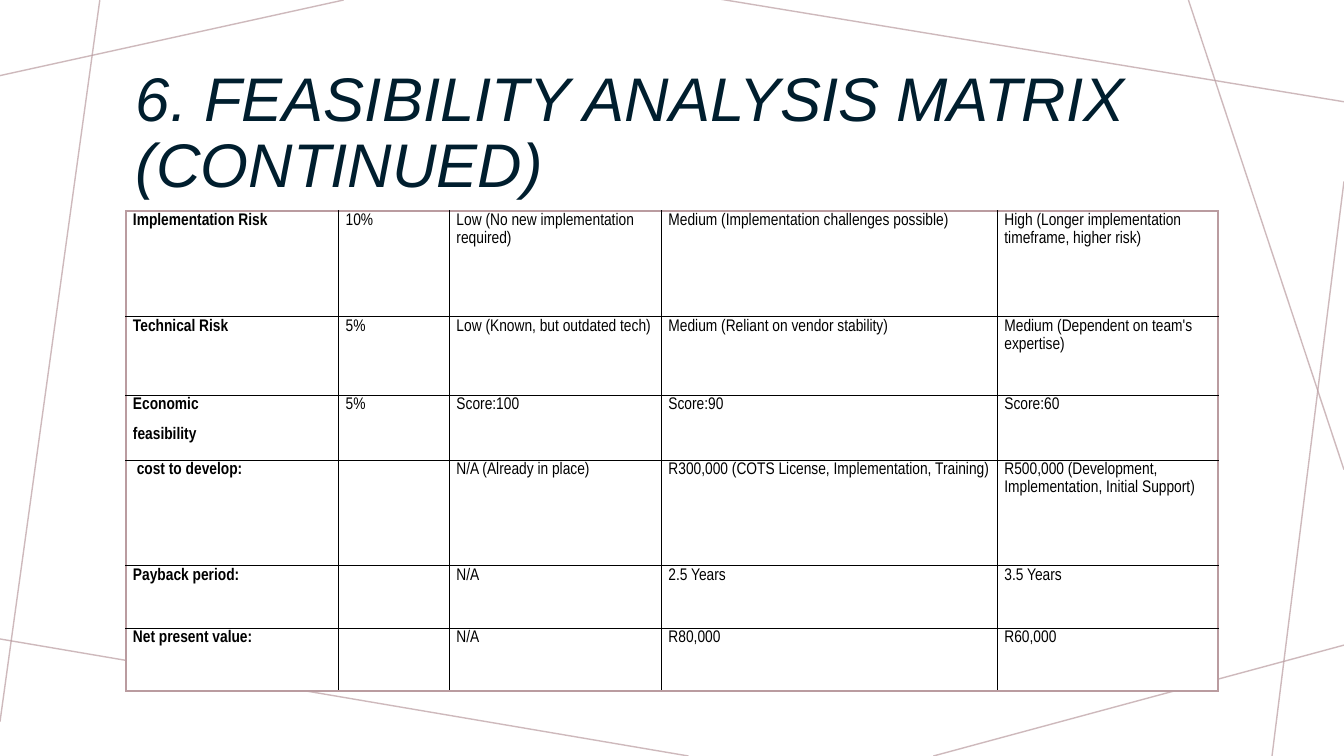
from dataclasses import dataclass

import pptx
import pptx.dml.color
import pptx.enum.shapes
import pptx.enum.text
import pptx.oxml
import pptx.oxml.ns
import pptx.util
from lxml import etree

Pt = pptx.util.Pt


@dataclass(frozen=True)
class Theme:
    title_color: str = "001E2E"
    text_color: str = "000000"
    accent: str = "BA9CA0"
    cell_fill: str = "FFFFFF"
    title_font: str = "Arial"
    table_font: str = "Arial Narrow"
    title_size: int = 44
    table_size: int = 12
    line_width: int = 1
    line_opacity: int = 70


THEME = Theme()
SLIDE_WIDTH, SLIDE_HEIGHT = 960, 540
CONTENT_LEFT, CONTENT_WIDTH = 90, 780

# Start x, start y, end x, end y
BACKGROUND_LINES = [
    (245.5, 0, 0, 54),
    (71.3, 0, 0, 515.5),
    (491.8, 540, -3.6, 455.8),
    (960, 460.8, 666.7, 540),
    (960, 129.6, 908.6, 540),
    (960, 335.5, 848.9, 0),
    (960, 72.7, 514, -0.7),
]

COLUMN_WIDTHS = [151.9, 79.2, 151.4, 240, 157.5]
ROW_HEIGHTS = [75.4, 56.3, 46.3, 75.4, 44.8, 44.8]
MATRIX = [
    ["Implementation Risk", "10%", "Low (No new implementation required)",
     "Medium (Implementation challenges possible)",
     "High (Longer implementation timeframe, higher risk)"],
    ["Technical Risk", "5%", "Low (Known, but outdated tech)",
     "Medium (Reliant on vendor stability)",
     "Medium (Dependent on team's expertise)"],
    ["Economic\nfeasibility", "5%", "Score:100", "Score:90", "Score:60"],
    [" cost to develop:", "", "N/A (Already in place)",
     "R300,000 (COTS License, Implementation, Training)",
     "R500,000 (Development, Implementation, Initial Support)"],
    ["Payback period:", "", "N/A", "2.5 Years", "3.5 Years"],
    ["Net present value:", "", "N/A", "R80,000", "R60,000"],
]


def rgb(color):
    return pptx.dml.color.RGBColor.from_string(color)


def write_text(frame, text, *, font, size, color, bold=False, italic=False,
               line_spacing=1.0, space_after=0):
    """Fill a text frame, one paragraph for each line of text."""
    frame.word_wrap = True
    for index, line in enumerate(text.split("\n")):
        paragraph = frame.add_paragraph() if index else frame.paragraphs[0]
        paragraph.line_spacing = line_spacing
        paragraph.space_after = Pt(space_after)
        paragraph.font.size = Pt(size)
        if not line:
            continue
        run = paragraph.add_run()
        run.text = line
        run.font.name = font
        run.font.size = Pt(size)
        run.font.bold = bold
        run.font.italic = italic
        run.font.color.rgb = rgb(color)


def add_background_line(slide, ends):
    connector = slide.shapes.add_connector(
        pptx.enum.shapes.MSO_CONNECTOR.STRAIGHT, *map(Pt, ends))
    connector.line.width = Pt(THEME.line_width)
    connector.line.color.rgb = rgb(THEME.accent)
    properties = connector._element.spPr
    color = properties.find(".//" + pptx.oxml.ns.qn("a:srgbClr"))
    alpha = etree.SubElement(color, pptx.oxml.ns.qn("a:alpha"))
    alpha.set("val", str(THEME.line_opacity * 1000))
    etree.SubElement(properties, pptx.oxml.ns.qn("a:effectLst"))


def add_title(slide, text):
    box = slide.shapes.add_textbox(
        Pt(CONTENT_LEFT), Pt(41.8), Pt(CONTENT_WIDTH), Pt(108.7))
    box.text_frame.vertical_anchor = pptx.enum.text.MSO_ANCHOR.MIDDLE
    write_text(box.text_frame, text, font=THEME.title_font,
               size=THEME.title_size, color=THEME.title_color,
               italic=True, line_spacing=0.9)


def set_borders(cell, colors):
    """Draw the cell sides; colors maps L, R, T and B to a colour."""
    properties = cell._tc.get_or_add_tcPr()
    for side, color in colors.items():
        line = etree.SubElement(properties, pptx.oxml.ns.qn("a:ln" + side))
        line.set("w", str(Pt(THEME.line_width)))
        fill = etree.SubElement(line, pptx.oxml.ns.qn("a:solidFill"))
        etree.SubElement(fill, pptx.oxml.ns.qn("a:srgbClr")).set("val", color)


def add_matrix(slide):
    last_row, last_column = len(ROW_HEIGHTS) - 1, len(COLUMN_WIDTHS) - 1
    table = slide.shapes.add_table(
        len(ROW_HEIGHTS), len(COLUMN_WIDTHS), Pt(CONTENT_LEFT), Pt(150.7),
        Pt(CONTENT_WIDTH), Pt(sum(ROW_HEIGHTS))).table
    table.first_row = table.horz_banding = False
    for column, width in zip(table.columns, COLUMN_WIDTHS):
        column.width = Pt(width)
    for row, height in zip(table.rows, ROW_HEIGHTS):
        row.height = Pt(height)

    for row_index, texts in enumerate(MATRIX):
        for column_index, text in enumerate(texts):
            cell = table.cell(row_index, column_index)
            outer_sides = {
                "L": column_index == 0,
                "R": column_index == last_column,
                "T": row_index == 0,
                "B": row_index == last_row,
            }
            set_borders(cell, {
                side: THEME.accent if outer else THEME.text_color
                for side, outer in outer_sides.items()})
            cell.fill.solid()
            cell.fill.fore_color.rgb = rgb(THEME.cell_fill)
            cell.margin_left = cell.margin_right = Pt(5)
            cell.margin_top = cell.margin_bottom = Pt(0)
            write_text(cell.text_frame, text, font=THEME.table_font,
                       size=THEME.table_size, color=THEME.text_color,
                       bold=column_index == 0, line_spacing=1.15,
                       space_after=8)


def main():
    presentation = pptx.Presentation()
    presentation.slide_width = Pt(SLIDE_WIDTH)
    presentation.slide_height = Pt(SLIDE_HEIGHT)
    slide = presentation.slides.add_slide(presentation.slide_layouts[6])
    for ends in BACKGROUND_LINES:
        add_background_line(slide, ends)
    add_title(slide, "6. FEASIBILITY ANALYSIS MATRIX (CONTINUED)")
    add_matrix(slide)
    presentation.save("out.pptx")


if __name__ == "__main__":
    main()
